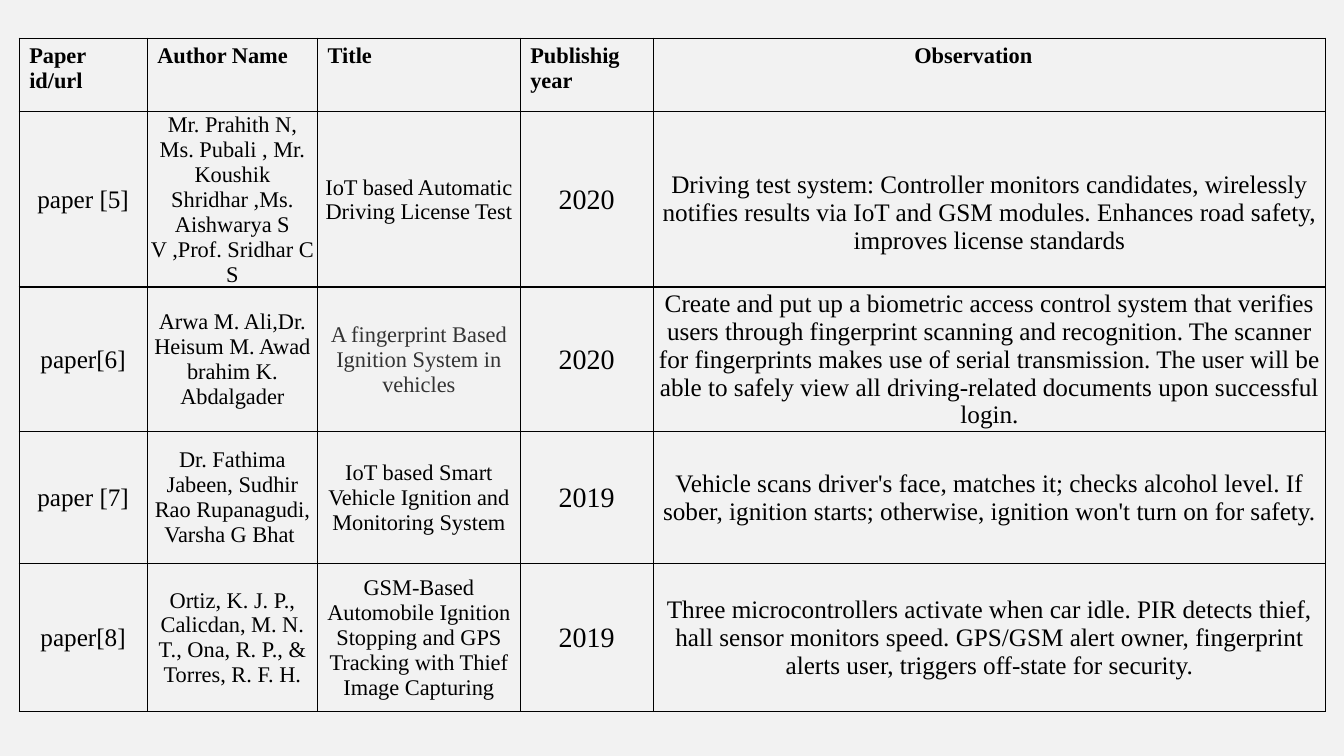
from dataclasses import dataclass

from lxml import etree
from pptx import Presentation
from pptx.dml.color import RGBColor as RGB
from pptx.enum.text import MSO_ANCHOR as Anchor, PP_ALIGN as Align
from pptx.oxml.ns import qn
from pptx.util import Inches, Pt

# Content
HEADINGS = ["Paper id/url", "Author Name", "Title", "Publishig year", "Observation"]
PAPERS = [
    ("paper [5]",
     "Mr. Prahith N, Ms. Pubali , Mr. Koushik Shridhar ,Ms. Aishwarya S V ,Prof. Sridhar C S",
     "IoT based Automatic Driving License Test",
     "2020",
     "Driving test system: Controller monitors candidates, wirelessly notifies results "
     "via IoT and GSM modules. Enhances road safety, improves license standards"),
    ("paper[6]",
     "Arwa M. Ali,Dr. Heisum M. Awad brahim K. Abdalgader",
     "A fingerprint Based Ignition System in vehicles",
     "2020",
     "Create and put up a biometric access control system that verifies users through "
     "fingerprint scanning and recognition. The scanner for fingerprints makes use of "
     "serial transmission. The user will be able to safely view all driving-related "
     "documents upon successful login."),
    ("paper [7]",
     "Dr. Fathima Jabeen, Sudhir Rao Rupanagudi, Varsha G Bhat ",
     "IoT based Smart Vehicle Ignition and Monitoring System",
     "2019",
     "Vehicle scans driver's face, matches it; checks alcohol level. If sober, "
     "ignition starts; otherwise, ignition won't turn on for safety."),
    ("paper[8]",
     "Ortiz, K. J. P., Calicdan, M. N. T., Ona, R. P., & Torres, R. F. H.",
     "GSM-Based Automobile Ignition Stopping and GPS Tracking with Thief Image Capturing",
     "2019",
     "Three microcontrollers activate when car idle. PIR detects thief, hall sensor "
     "monitors speed. GPS/GSM alert owner, fingerprint alerts user, triggers "
     "off-state for security."),
]
COLUMN_WIDTHS = [1.27, 1.69, 2.01, 1.32, 6.67]
ROW_HEIGHTS = [0.73, 1.48, 1.43, 1.31, 1.47]
LEFT, TOP = 0.19, 0.38

# Cell margins: left, top, right, bottom
HEADING_MARGINS = (0.1, 0.05, 0.1, 0.05)
OBSERVATION_HEADING_MARGINS = (2.59, 0.05, 0.1, 0.05)
PAPER_MARGINS = (0.01, 0.01, 0.01, 0)
LOWERED_MARGINS = (0.01, 0.26, 0.01, 0)


@dataclass(frozen=True)
class Theme:
    font: str = "Times New Roman"
    background: RGB = RGB(0xF2, 0xF2, 0xF2)
    ink: RGB = RGB(0, 0, 0)
    soft_ink: RGB = RGB(0x33, 0x33, 0x33)
    border: str = "000000"
    border_width: int = Pt(1)
    heading_size: int = 16
    column_sizes: tuple = (18, 16, 16, 20, 18)


THEME = Theme()


def draw_borders(cell):
    properties = cell._tc.get_or_add_tcPr()
    for side in ("a:lnL", "a:lnR", "a:lnT", "a:lnB"):
        line = etree.SubElement(properties, qn(side), w=str(THEME.border_width))
        fill = etree.SubElement(line, qn("a:solidFill"))
        etree.SubElement(fill, qn("a:srgbClr"), val=THEME.border)


def write_cell(cell, text, size, margins, color=THEME.ink, heading=False):
    draw_borders(cell)
    cell.fill.background()
    (cell.margin_left, cell.margin_top,
     cell.margin_right, cell.margin_bottom) = map(Inches, margins)
    cell.vertical_anchor = Anchor.TOP if heading else Anchor.MIDDLE
    cell.text_frame.text = text
    paragraph = cell.text_frame.paragraphs[0]
    paragraph.alignment = Align.LEFT if heading else Align.CENTER
    font = paragraph.runs[0].font
    font.name, font.size, font.bold = THEME.font, Pt(size), heading
    font.color.rgb = color


def main():
    deck = Presentation()
    deck.slide_width, deck.slide_height = Inches(13.33), Inches(7.5)
    slide = deck.slides.add_slide(deck.slide_layouts[6])
    slide.background.fill.solid()
    slide.background.fill.fore_color.rgb = THEME.background

    # Survey table
    survey = slide.shapes.add_table(
        len(ROW_HEIGHTS), len(COLUMN_WIDTHS), Inches(LEFT), Inches(TOP),
        Inches(sum(COLUMN_WIDTHS)), Inches(sum(ROW_HEIGHTS))).table
    survey.horz_banding = False
    for column, width in zip(survey.columns, COLUMN_WIDTHS):
        column.width = Inches(width)
    for row, height in zip(survey.rows, ROW_HEIGHTS):
        row.height = Inches(height)

    # Heading row
    for c, heading in enumerate(HEADINGS):
        margins = OBSERVATION_HEADING_MARGINS if heading == "Observation" else HEADING_MARGINS
        write_cell(survey.cell(0, c), heading, THEME.heading_size, margins, heading=True)

    # One row per paper; the first observation sits lower, the second title is softer
    for r, paper in enumerate(PAPERS, start=1):
        for c, text in enumerate(paper):
            margins = LOWERED_MARGINS if (r, c) == (1, 4) else PAPER_MARGINS
            color = THEME.soft_ink if (r, c) == (2, 2) else THEME.ink
            write_cell(survey.cell(r, c), text, THEME.column_sizes[c], margins, color)

    deck.save("out.pptx")


if __name__ == "__main__":
    main()
